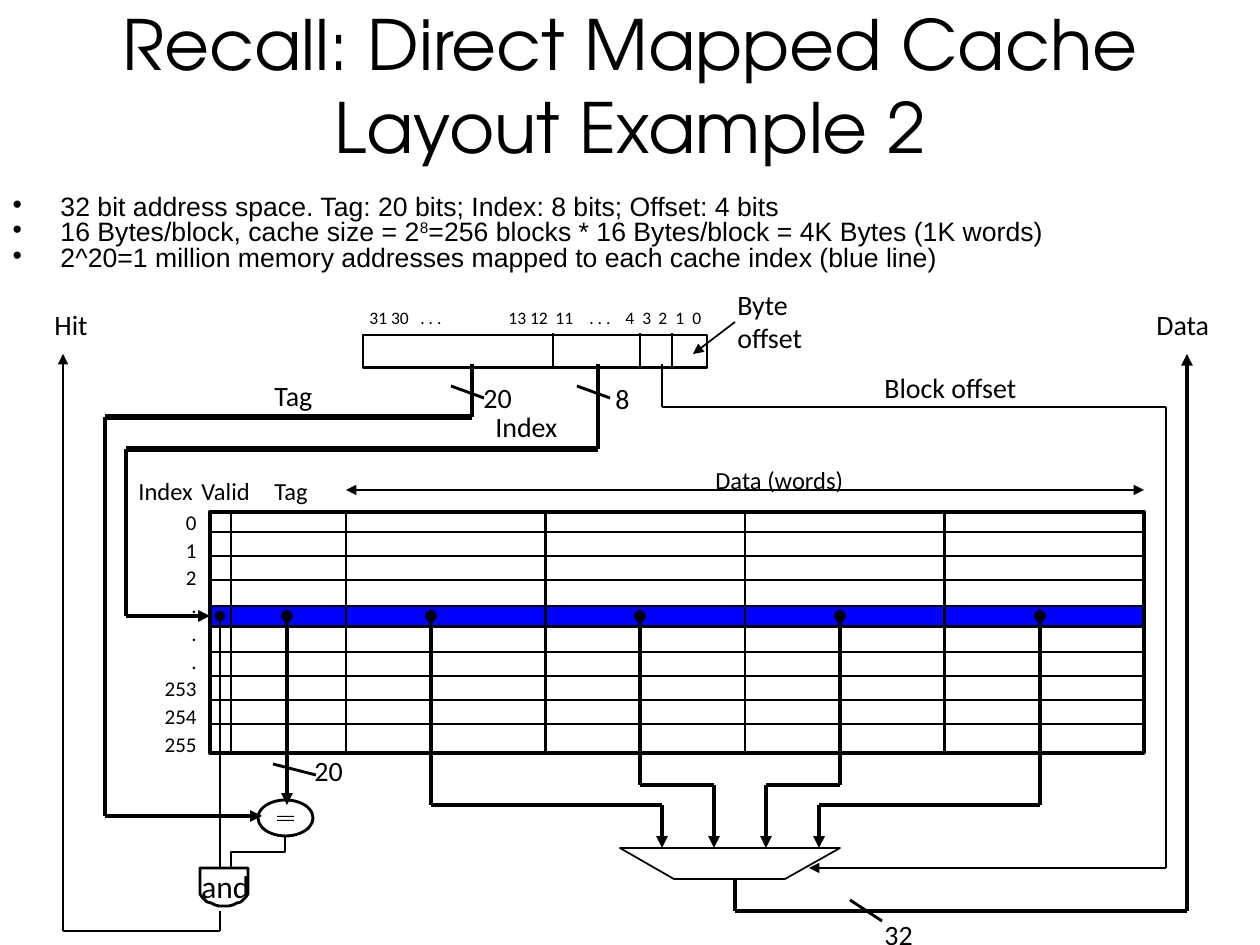
from dataclasses import dataclass
from itertools import pairwise
from math import cos, pi, sin

from lxml.etree import SubElement
from pptx import Presentation
from pptx.dml.color import RGBColor
from pptx.enum.shapes import MSO_CONNECTOR, MSO_SHAPE as SHAPE
from pptx.enum.text import MSO_ANCHOR, MSO_AUTO_SIZE as FIT, PP_ALIGN as ALIGN
from pptx.oxml.ns import qn
from pptx.util import Emu, Inches, Pt

PX = 914400 / 126


@dataclass(frozen=True)
class Theme:
    ink: RGBColor = RGBColor(0, 0, 0)
    hit_row: RGBColor = RGBColor(0, 0, 255)
    title_font: str = "TeX Gyre Adventor"
    body_font: str = "Arial"
    label_font: str = "Calibri"
    title: float = 39.6
    body: float = 15.2
    gate: int = 18
    label: int = 16
    header: int = 14
    row: int = 12
    bit: int = 10
    thin: float = 1
    line: float = 1.63
    wire: float = 2.25
    bus: float = 3


T = Theme()

TITLE = "Recall: Direct Mapped Cache Layout Example 2"
# Each bullet is a list of (text, is superscript)
BULLETS = [
    [("32 bit address space. Tag: 20 bits; Index: 8 bits; Offset: 4 bits", False)],
    [("16 Bytes/block, cache size = 2", False), ("8", True),
     ("=256 blocks * 16 Bytes/block = 4K Bytes (1K words)", False)],
    [("2^20=1 million memory addresses mapped to each cache index (blue line)", False)],
]
# text, left, top, width, height, size
LABELS = [
    ("Hit", 42, 301, 59, 47, T.label),
    ("Data", 1144, 301, 84, 47, T.label),
    ("Tag", 262, 372, 73, 47, T.label),
    ("Index", 483, 403, 93, 47, T.label),
    ("20", 471, 374, 57, 47, T.label),
    ("8", 603, 375, 42, 47, T.label),
    ("20", 302, 747, 57, 47, T.label),
    ("32", 872, 911, 57, 47, T.label),
    ("Block offset", 872, 364, 220, 47, T.label),
    ("Index", 126, 470, 86, 42, T.header),
    ("Valid", 189, 470, 79, 42, T.header),
    ("Tag", 262, 470, 67, 42, T.header),
    ("Data (words)", 703, 459, 155, 43, T.header),
    ("and", 189, 861, 130, 50, T.gate),
]
ROW_NAMES = ["0", "1", "2", ".", ".", ".", "253", "254", "255"]
# Bit numbers with their distance from the first one
BITS = [("31 30", 0), (". . .", 51), ("13 12", 139), ("11", 186), (". . .", 220),
        ("4", 256), ("3", 273), ("2", 289), ("1", 306), ("0", 323)]

ADDRESS = (363, 335, 344, 33)
FIELD_EDGES = [553, 640, 672]
LEFT, TOP, RIGHT, BOTTOM = 210, 512, 1144, 753
WORDS_LEFT, WORDS = 346, 4
ROW_TOP, ROW_STEP, HIT_ROW = 532, 24, (606, 627)
HIT_Y = 616
MUX_TOP = 848
# block word x, bend y, mux input x
WORD_PATHS = [(431, 805, 662), (640, 785, 714), (840, 785, 766), (1040, 805, 819)]

# points, width, head, tail
WIRES = [
    ([(598, 364), (598, 449)], T.wire, None, None),
    ([(598, 449), (126, 449)], T.bus, None, None),
    ([(126, 449), (126, HIT_Y), (LEFT, HIT_Y)], T.wire, None, "triangle"),
    ([(472, 364), (472, 417)], T.wire, None, None),
    ([(472, 417), (105, 417)], T.bus, None, None),
    ([(105, 417), (105, 816), (262, 816)], T.wire, None, "triangle"),
    ([(287, HIT_Y), (287, 805)], T.wire, "oval", "triangle"),
    ([(220, HIT_Y), (220, 868)], T.line, "oval", None),
    ([(220, 911), (220, 931), (63, 931), (63, 354)], T.thin, None, "triangle"),
    ([(662, 364), (662, 407), (1166, 407), (1166, 868), (809, 868)],
     T.thin, None, "triangle"),
    ([(735, 879), (735, 911), (1187, 911), (1187, 354)], T.wire, None, "triangle"),
    ([(WORDS_LEFT, 490), (RIGHT, 490)], T.thin, "triangle", "triangle"),
    ([(735, 322), (693, 354)], T.thin, None, "triangle"),
] + [([(x, HIT_Y), (x, bend), (port, bend), (port, MUX_TOP)], T.wire, "oval", "triangle")
     for x, bend, port in WORD_PATHS]
WIDTH_SLASHES = [((451, 386), (484, 398)), ((577, 386), (610, 398)),
                 ((273, 764), (316, 775)), ((850, 900), (882, 921))]


def px(*values):
    return [Emu(round(v * PX)) for v in values]


def write(paragraph, text, size, font=T.label_font, align=None, superscript=False):
    run = paragraph.add_run()
    run.text = text
    run.font.size, run.font.name = Pt(size), font
    run.font.color.rgb = T.ink
    if align is not None:
        paragraph.alignment = align
    if superscript:
        run._r.get_or_add_rPr().set("baseline", "30000")


def text_box(slide, box, wrap=False):
    frame = slide.shapes.add_textbox(*px(*box)).text_frame
    frame.word_wrap, frame.auto_size = wrap, FIT.SHAPE_TO_FIT_TEXT
    return frame


def segment(slide, start, end, width=T.line, head=None, tail=None):
    line = slide.shapes.add_connector(MSO_CONNECTOR.STRAIGHT, *px(*start, *end))
    line.line.width, line.line.color.rgb = Pt(width), T.ink
    ln = line.line._get_or_add_ln()
    for tag, kind in (("a:headEnd", head), ("a:tailEnd", tail)):
        if kind:
            SubElement(ln, qn(tag), type=kind)
    SubElement(line._element.spPr, qn("a:effectLst"))


def wire(slide, points, width=T.line, head=None, tail=None):
    legs = list(pairwise(points))
    for i, (start, end) in enumerate(legs):
        segment(slide, start, end, width, head if i == 0 else None,
                tail if i == len(legs) - 1 else None)


def paint(shape, width=T.line, fill=None):
    shape.shadow.inherit = False
    if fill is None:
        shape.fill.background()
    else:
        shape.fill.solid()
        shape.fill.fore_color.rgb = fill
    if width:
        shape.line.width, shape.line.color.rgb = Pt(width), T.ink
    else:
        shape.line.fill.background()


def preset(slide, kind, box, width=T.line, fill=None):
    paint(slide.shapes.add_shape(kind, *px(*box)), width, fill)


def outline(slide, points, width=T.line):
    builder = slide.shapes.build_freeform(*points[0], scale=PX)
    builder.add_line_segments(points[1:], close=True)
    paint(builder.convert_to_shape(), width)


def place(shape, box):
    shape.left, shape.top, shape.width, shape.height = px(*box)
    shape.text_frame.auto_size = FIT.NONE
    return shape.text_frame


def add_heading(slide):
    title = place(slide.shapes.title, (63, 5, 1134, 158))
    title.vertical_anchor = MSO_ANCHOR.MIDDLE
    write(title.paragraphs[0], TITLE, T.title, T.title_font, ALIGN.CENTER)
    body = place(slide.placeholders[1], (0, 195, 1293, 129))
    for i, parts in enumerate(BULLETS):
        item = body.add_paragraph() if i else body.paragraphs[0]
        item.line_spacing, item.space_before = 0.6, Pt(3.5 if i else 0)
        props = item._p.get_or_add_pPr()
        props.set("marL", str(Inches(0.38)))
        props.set("indent", str(-Inches(0.38)))
        SubElement(props, qn("a:buChar"), char="•")
        for text, superscript in parts:
            write(item, text, T.body, T.body_font, superscript=superscript)


def add_address(slide):
    preset(slide, SHAPE.RECTANGLE, ADDRESS)
    for x in FIELD_EDGES:
        segment(slide, (x, 333), (x, 366))
    bits = text_box(slide, (357, 301, 422, 34), wrap=True).paragraphs[0]
    tabs = SubElement(bits._p.get_or_add_pPr(), qn("a:tabLst"))
    for _, offset in BITS[1:]:
        SubElement(tabs, qn("a:tab"), pos=str(px(offset)[0]), algn="l")
    write(bits, "\t".join(name for name, _ in BITS), T.bit)
    write(text_box(slide, (725, 281, 116, 81), wrap=True).paragraphs[0],
          "Byte offset", T.label)


def add_cache(slide):
    hit_top, hit_bottom = HIT_ROW
    preset(slide, SHAPE.RECTANGLE, (LEFT, hit_top, RIGHT - LEFT, hit_bottom - hit_top),
           fill=T.hit_row)
    for row in (0, 1, 2, 5, 6, 7, 8):
        y = ROW_TOP + row * ROW_STEP
        segment(slide, (LEFT, y), (RIGHT, y))
    word_width = (RIGHT - WORDS_LEFT) / WORDS
    for x in [231] + [WORDS_LEFT + i * word_width for i in range(WORDS)]:
        segment(slide, (x, TOP), (x, BOTTOM))
    preset(slide, SHAPE.RECTANGLE, (LEFT, TOP, RIGHT - LEFT, BOTTOM - TOP), T.wire)
    names = text_box(slide, (149, 501, 60, 263))
    for i, name in enumerate(ROW_NAMES):
        line = names.add_paragraph() if i else names.paragraphs[0]
        line.line_spacing = 1.1
        write(line, name, T.row, align=ALIGN.RIGHT)


def add_logic(slide):
    preset(slide, SHAPE.OVAL, (258, 800, 55, 36))
    for y in (816, 820):
        preset(slide, SHAPE.RECTANGLE, (277, y, 17, 1), width=0, fill=T.ink)
    outline(slide, [(285, 837), (285, 852), (231, 852), (231, 866),
                    (231, 852), (285, 852)])
    curve = [(224 + 24 * cos(pi * i / 16), 891 + 15 * sin(pi * i / 16)) for i in range(17)]
    outline(slide, [(200, 868), (248, 868)] + curve)
    outline(slide, [(620, MUX_TOP), (674, 879), (785, 879), (840, MUX_TOP)], T.thin)


def main():
    deck = Presentation()
    deck.slide_width, deck.slide_height = px(1260, 945)
    slide = deck.slides.add_slide(deck.slide_layouts[1])
    add_heading(slide)
    add_cache(slide)
    add_address(slide)
    add_logic(slide)
    for route in WIRES:
        wire(slide, *route)
    for start, end in WIDTH_SLASHES:
        segment(slide, start, end)
    for text, *box, size in LABELS:
        write(text_box(slide, box).paragraphs[0], text, size)
    deck.save("out.pptx")


if __name__ == "__main__":
    main()
